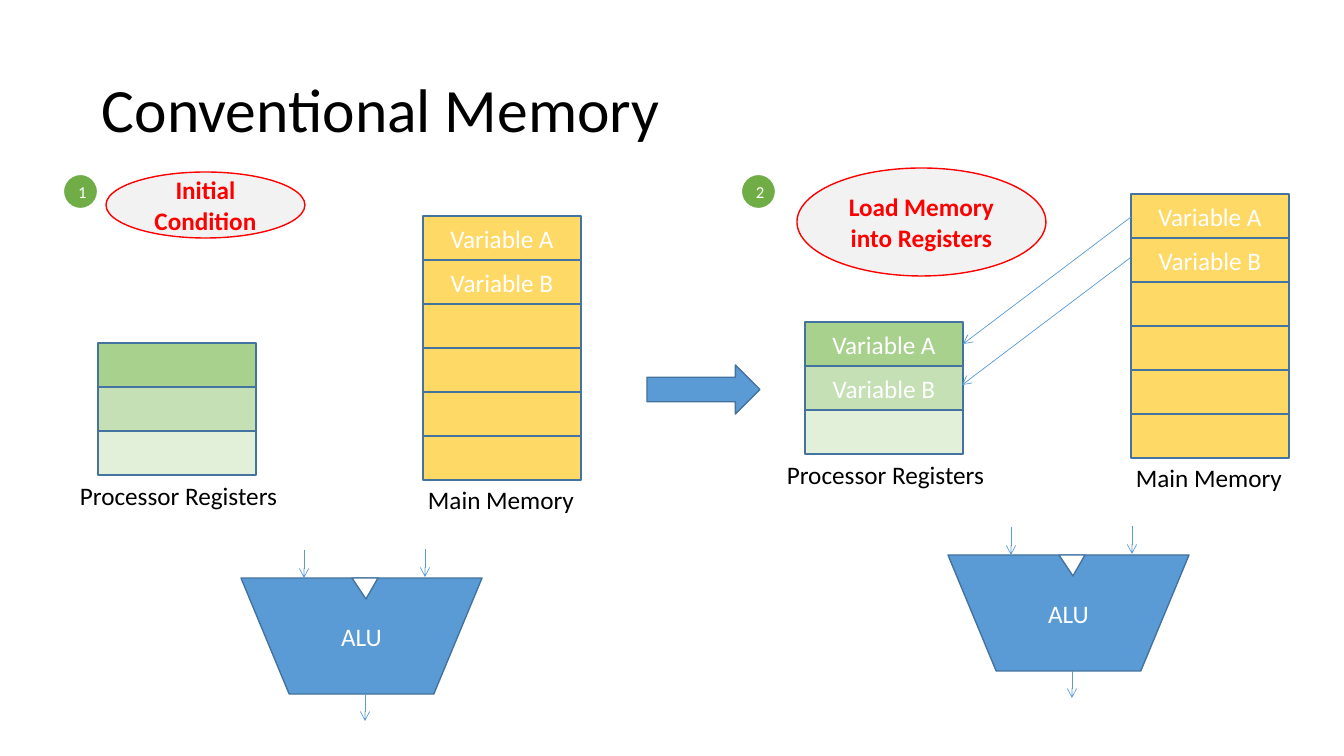
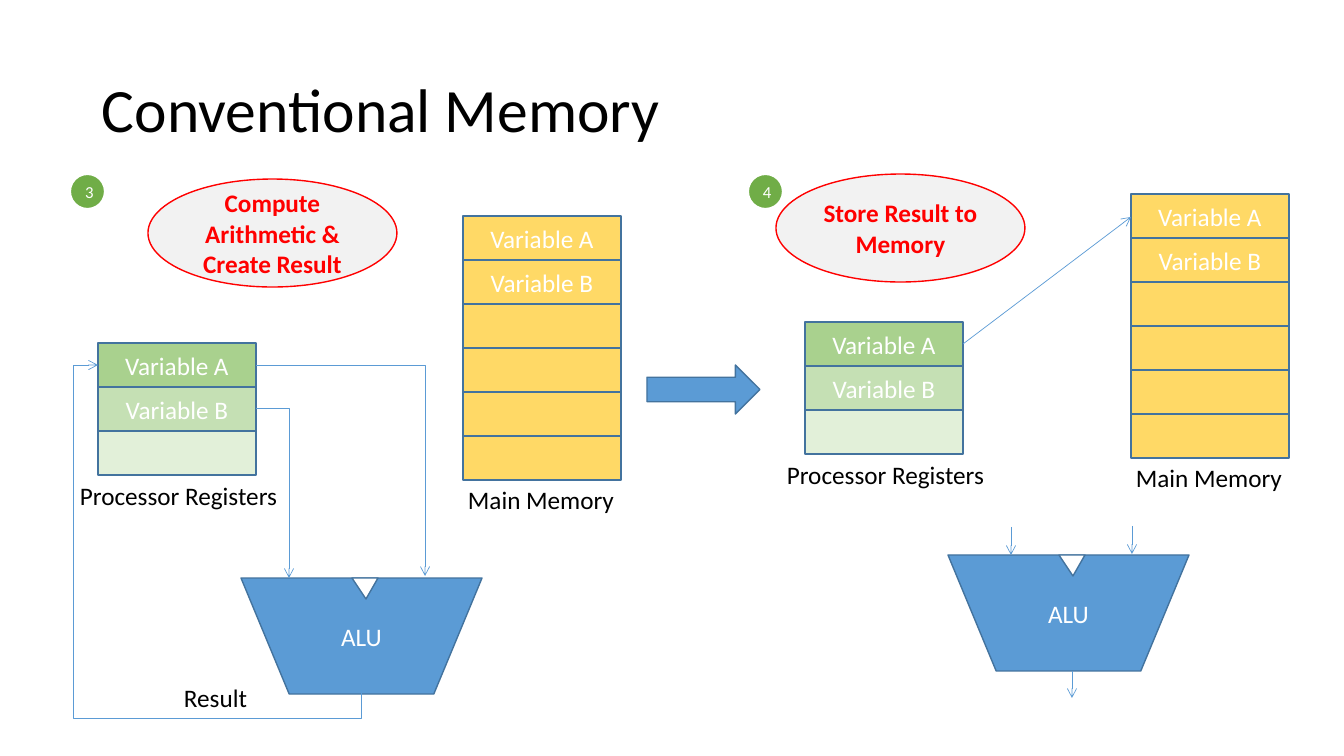
from dataclasses import dataclass
from typing import NamedTuple, Optional

from lxml import etree
from pptx import Presentation
from pptx.dml.color import RGBColor
from pptx.enum.shapes import MSO_CONNECTOR, MSO_SHAPE
from pptx.enum.text import MSO_ANCHOR, PP_ALIGN
from pptx.oxml.ns import qn
from pptx.util import Emu, Pt

# Scale: 100.8 pixels to the inch
EMU_PER_PIXEL = 914400 / 100.8
SLIDE_WIDTH, SLIDE_HEIGHT = 1344, 756

FONT = "Calibri"
BLACK = RGBColor(0x00, 0x00, 0x00)
WHITE = RGBColor(0xFF, 0xFF, 0xFF)
RED = RGBColor(0xFF, 0x00, 0x00)
BLUE = RGBColor(0x5B, 0x9B, 0xD5)
DARK_BLUE = RGBColor(0x43, 0x73, 0x9E)
GREEN = RGBColor(0x70, 0xAD, 0x47)
LIGHT_GRAY = RGBColor(0xF2, 0xF2, 0xF2)
MEMORY_COLORS = [RGBColor(0xFF, 0xD9, 0x66)] * 6
REGISTER_COLORS = [
    RGBColor(0xA9, 0xD1, 0x8E),
    RGBColor(0xC5, 0xE0, 0xB4),
    RGBColor(0xE2, 0xF0, 0xD9),
]

RECTANGLE = MSO_SHAPE.RECTANGLE
OVAL = MSO_SHAPE.OVAL
RIGHT_ARROW = MSO_SHAPE.RIGHT_ARROW
TRIANGLE = MSO_SHAPE.ISOSCELES_TRIANGLE
TRAPEZOID = MSO_SHAPE.FLOWCHART_MANUAL_OPERATION
STRAIGHT = MSO_CONNECTOR.STRAIGHT
ELBOW = MSO_CONNECTOR.ELBOW
LEFT, CENTER = PP_ALIGN.LEFT, PP_ALIGN.CENTER
TOP, MIDDLE = MSO_ANCHOR.TOP, MSO_ANCHOR.MIDDLE

CELL_WIDTH, CELL_HEIGHT = 158, 44
ALU_WIDTH, ALU_HEIGHT = 241, 116
BADGE_TOP, BADGE_SIZE = 174, 35
VARIABLES = ["Variable A", "Variable B"]


class Point(NamedTuple):
    x: int
    y: int


class Box(NamedTuple):
    left: int
    top: int
    width: int
    height: int


class Arrow(NamedTuple):
    begin: Point
    end: Point


@dataclass
class Panel:
    number: int
    badge_left: int
    callout: str
    callout_box: Box
    registers: Point
    memory: Point
    alu: Point
    registers_loaded: bool = True
    alu_idle: bool = True
    transfers: tuple[Arrow, ...] = ()


def pixels(value: float) -> Emu:
    return Emu(round(value * EMU_PER_PIXEL))


def write_text(frame, text: str, *, size: float = 18, color: RGBColor = BLACK,
               bold: bool = False, align=LEFT, anchor=TOP, wrap: bool = True,
               line_spacing: float = 1.0) -> None:
    frame.word_wrap = wrap
    frame.vertical_anchor = anchor
    paragraph = frame.paragraphs[0]
    paragraph.alignment = align
    paragraph.line_spacing = line_spacing
    run = paragraph.add_run()
    run.text = text
    run.font.name = FONT
    run.font.size = Pt(size)
    run.font.bold = bold
    run.font.color.rgb = color


def add_label(slide, box: Box, text: str, **text_format) -> None:
    text_box = slide.shapes.add_textbox(*map(pixels, box))
    write_text(text_box.text_frame, text, **text_format)


def add_block(shapes, kind, box: Box, fill: RGBColor, text: str = "", *,
              line: RGBColor = DARK_BLUE, line_width: float = 1,
              color: RGBColor = WHITE, **text_format):
    shape = shapes.add_shape(kind, *map(pixels, box))
    shape.shadow.inherit = False
    shape.fill.solid()
    shape.fill.fore_color.rgb = fill
    shape.line.color.rgb = line
    shape.line.width = Pt(line_width)
    if text:
        write_text(shape.text_frame, text, color=color, align=CENTER,
                   anchor=MIDDLE, **text_format)
    return shape


def add_arrow(slide, arrow: Arrow, kind=STRAIGHT, preset: Optional[str] = None,
              adjustments: tuple[float, ...] = ()):
    connector = slide.shapes.add_connector(
        kind, *map(pixels, (*arrow.begin, *arrow.end)))
    connector.line.color.rgb = BLUE
    connector.line.width = Pt(0.5)
    properties = connector._element.spPr
    etree.SubElement(properties.find(qn("a:ln")), qn("a:tailEnd"), type="arrow")
    etree.SubElement(properties, qn("a:effectLst"))
    if preset:
        geometry = properties.find(qn("a:prstGeom"))
        geometry.set("prst", preset)
        guides = geometry.find(qn("a:avLst"))
        for index, value in enumerate(adjustments, start=1):
            etree.SubElement(guides, qn("a:gd"), name=f"adj{index}",
                             fmla=f"val {round(value * 100000)}")
    return connector


def add_return_arrow(slide, arrow: Arrow, corner: Point) -> None:
    """Route down to the corner's row, left to its column, then up to the end."""
    begin, end = arrow
    rise, run = begin.y - end.y, begin.x - end.x
    center_x, center_y = (begin.x + end.x) / 2, (begin.y + end.y) / 2
    unturned = Arrow(Point(center_x + rise / 2, center_y - run / 2),
                     Point(center_x - rise / 2, center_y + run / 2))
    connector = add_arrow(
        slide, unturned, ELBOW, "bentConnector4",
        ((begin.y - corner.y) / rise, (begin.x - corner.x) / run))
    connector.rotation = 90


def add_cells(slide, origin: Point, colors: list[RGBColor],
              texts: list[str]) -> None:
    for row, color in enumerate(colors):
        box = Box(origin.x, origin.y + row * CELL_HEIGHT, CELL_WIDTH, CELL_HEIGHT)
        add_block(slide.shapes, RECTANGLE, box, color,
                  texts[row] if row < len(texts) else "")


def add_alu(slide, origin: Point, idle: bool) -> None:
    group = slide.shapes.add_group_shape()
    add_block(group.shapes, TRAPEZOID, Box(*origin, ALU_WIDTH, ALU_HEIGHT),
              BLUE, "ALU")
    notch = add_block(group.shapes, TRIANGLE,
                      Box(origin.x + 111, origin.y, 26, 21), WHITE)
    notch.adjustments[0] = 0.464
    notch.rotation = 180
    if idle:
        bottom = ALU_HEIGHT
        for across, start, stop in ((63, -28, 0), (184, -29, -1),
                                    (124, bottom, bottom + 27)):
            x = origin.x + across
            add_arrow(slide, Arrow(Point(x, origin.y + start),
                                   Point(x, origin.y + stop)))


def add_panel(slide, panel: Panel) -> None:
    registers, memory = panel.registers, panel.memory
    add_alu(slide, panel.alu, panel.alu_idle)
    # Storage and its labels
    add_cells(slide, registers, REGISTER_COLORS,
              VARIABLES if panel.registers_loaded else [])
    add_cells(slide, memory, MEMORY_COLORS, VARIABLES)
    add_label(slide, Box(memory.x - 5, memory.y + 263, 168, 40),
              "Main Memory", wrap=False)
    add_label(slide, Box(registers.x - 28, registers.y + 132, 220, 40),
              "Processor Registers", wrap=False)
    for transfer in panel.transfers:
        add_arrow(slide, transfer)
    # Step description and number
    add_block(slide.shapes, OVAL, panel.callout_box, LIGHT_GRAY, panel.callout,
              line=RED, color=RED, bold=True)
    add_block(slide.shapes, OVAL,
              Box(panel.badge_left, BADGE_TOP, BADGE_SIZE, BADGE_SIZE),
              GREEN, str(panel.number), line=WHITE, line_width=1.5, size=12)


def add_step_slide(presentation, panels: tuple[Panel, ...]):
    slide = presentation.slides.add_slide(presentation.slide_layouts[6])
    add_label(slide, Box(92, 40, 1159, 146), "Conventional Memory", size=44,
              anchor=MIDDLE, line_spacing=0.9)
    for panel in panels:
        add_panel(slide, panel)
    add_block(slide.shapes, RIGHT_ARROW, Box(647, 365, 113, 49), BLUE)
    return slide


# Positions shared by the slides
LEFT_REGISTERS, LEFT_ALU = Point(98, 343), Point(241, 578)
RIGHT_REGISTERS, RIGHT_MEMORY = Point(805, 322), Point(1131, 194)
RIGHT_ALU = Point(948, 555)
REGISTER_A, MEMORY_A = Point(963, 344), Point(1131, 217)
REGISTER_B, MEMORY_B = Point(962, 385), Point(1130, 258)

LOAD_PANELS = (
    Panel(1, 63, "Initial Condition", Box(106, 172, 199, 66),
          LEFT_REGISTERS, Point(423, 216), LEFT_ALU, registers_loaded=False),
    Panel(2, 741, "Load Memory into Registers", Box(797, 168, 249, 108),
          RIGHT_REGISTERS, RIGHT_MEMORY, RIGHT_ALU,
          transfers=(Arrow(MEMORY_A, REGISTER_A), Arrow(MEMORY_B, REGISTER_B))),
)
STORE_PANELS = (
    Panel(3, 70, "Compute Arithmetic & Create Result", Box(148, 179, 249, 108),
          LEFT_REGISTERS, Point(463, 216), LEFT_ALU, alu_idle=False),
    Panel(4, 748, "Store Result to Memory", Box(776, 174, 249, 108),
          RIGHT_REGISTERS, RIGHT_MEMORY, RIGHT_ALU,
          transfers=(Arrow(REGISTER_A, MEMORY_A),)),
)


def main() -> None:
    presentation = Presentation()
    presentation.slide_width = pixels(SLIDE_WIDTH)
    presentation.slide_height = pixels(SLIDE_HEIGHT)

    # Slide 1: initial state and load
    add_step_slide(presentation, LOAD_PANELS)

    # Slide 2: compute and store
    slide = add_step_slide(presentation, STORE_PANELS)
    for operand in (Arrow(Point(256, 365), Point(425, 576)),
                    Arrow(Point(256, 408), Point(289, 578))):
        add_arrow(slide, operand, ELBOW, "bentConnector2")
    add_return_arrow(slide, Arrow(Point(361, 693), Point(98, 365)),
                     corner=Point(73, 718))
    add_label(slide, Box(174, 677, 84, 40), "Result", wrap=False)

    presentation.save("out.pptx")


main()
